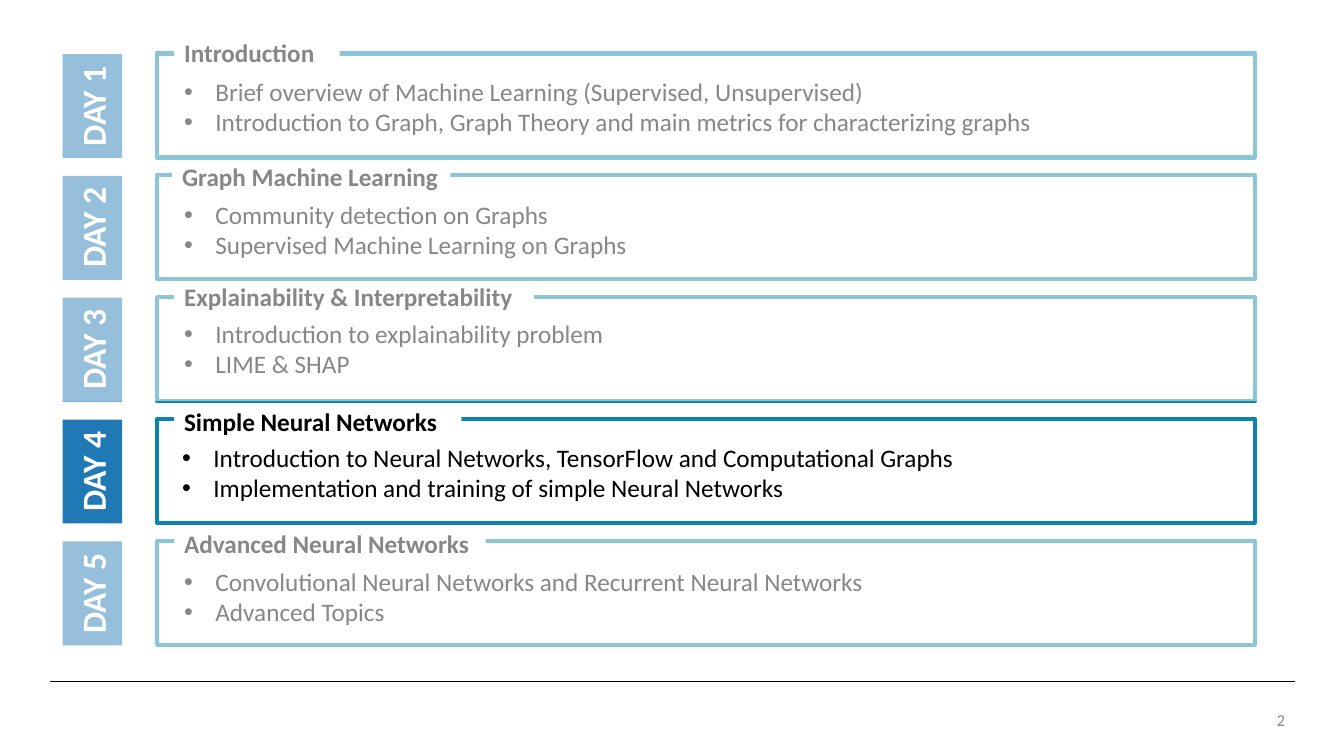
"""Build the five-day course agenda slide with day 4 highlighted."""
from lxml import etree
from pptx import Presentation
from pptx.dml.color import RGBColor
from pptx.enum.shapes import MSO_CONNECTOR, MSO_SHAPE
from pptx.enum.text import MSO_ANCHOR, MSO_AUTO_SIZE, PP_ALIGN
from pptx.oxml.ns import qn
from pptx.util import Cm, Pt

RECT = MSO_SHAPE.RECTANGLE
LEFT, MID, RIGHT = PP_ALIGN.LEFT, PP_ALIGN.CENTER, PP_ALIGN.RIGHT
TOP, CENTER = MSO_ANCHOR.TOP, MSO_ANCHOR.MIDDLE
GROW, FIXED = MSO_AUTO_SIZE.SHAPE_TO_FIT_TEXT, MSO_AUTO_SIZE.NONE
STEP = 3.07
DAYS = [
    ("Introduction", 4.39, 0.81, 4.17, 4.39, 1.8,
     ["Brief overview of Machine Learning (Supervised, Unsupervised)",
      "Introduction to Graph, Graph Theory and main metrics for characterizing graphs"]),
    ("Graph Machine Learning", 4.34, 3.94, 7.01, 4.39, 4.9,
     ["Community detection on Graphs",
      "Supervised Machine Learning on Graphs"]),
    ("Explainability & Interpretability", 4.39, 6.96, 9.07, 4.39, 7.9,
     ["Introduction to explainability problem",
      "LIME & SHAP"]),
    ("Simple Neural Networks", 4.39, 10.11, 7.24, 4.34, 11.02,
     ["Introduction to Neural Networks, TensorFlow and Computational Graphs",
      "Implementation and training of simple Neural Networks"]),
    ("Advanced Neural Networks", 4.39, 13.18, 7.85, 4.39, 14.15,
     ["Convolutional Neural Networks and Recurrent Neural Networks",
      "Advanced Topics"]),
]


def rgb(code):
    return RGBColor.from_string(code)


def put(text, x, y, w, h, fill=None, line=None, color="000000", size=18,
        bold=False, align=LEFT, anchor=TOP, fit=FIXED, bullet=False):
    box = slide.shapes.add_shape(RECT, Cm(x), Cm(y), Cm(w), Cm(h))
    box.shadow.inherit = False
    if fill:
        box.fill.solid()
        box.fill.fore_color.rgb = rgb(fill)
    else:
        box.fill.background()
    if line:
        box.line.color.rgb = rgb(line)
        box.line.width = Pt(3)
    else:
        box.line.fill.background()
    frame = box.text_frame
    frame.word_wrap = True
    frame.vertical_anchor = anchor
    frame.auto_size = fit
    frame.text = text
    for para in frame.paragraphs:
        para.alignment = align
        font = para.font
        for run in para.runs:
            font = run.font
            font.name, font.size, font.bold = "Calibri", Pt(size), bold
            font.color.rgb = rgb(color)
        if bullet:
            props = para._p.get_or_add_pPr()
            props.set("marL", str(Cm(0.79)))
            props.set("indent", str(-Cm(0.79)))
            etree.SubElement(props, qn("a:buFont")).set("typeface", "Arial")
            etree.SubElement(props, qn("a:buChar")).set("char", "•")
    return box


deck = Presentation()
deck.slide_width, deck.slide_height = Cm(33.87), Cm(19.05)
slide = deck.slides.add_slide(deck.slide_layouts[6])

rule = slide.shapes.add_connector(
    MSO_CONNECTOR.STRAIGHT, Cm(1.27), Cm(17.17), Cm(32.64), Cm(17.17))
rule.line.color.rgb = rgb("000000")
rule.line.width = Pt(0.5)
etree.SubElement(rule._element.spPr, qn("a:effectLst"))
put("2", 25.02, 17.63, 7.62, 1.02, color="8C8C8C", size=12, align=RIGHT, anchor=CENTER)

for i, (title, tx, ty, tw, lx, ly, items) in reversed(list(enumerate(DAYS))):
    put("", 3.96, 1.35 + i * STEP, 27.66, 2.62, line="0C82AE")
    tag = put(f"DAY {i + 1}", 1.02, 1.92 + i * STEP, 2.62, 1.5, fill="2078B4",
              color="FFFFFF", size=24, bold=True, align=MID, anchor=CENTER)
    tag.rotation = 270
    put(title, tx, ty, tw, 1.02, fill="FFFFFF", bold=True, fit=GROW)
    put("\n".join(items), lx, ly, 26.75, 1.8, fit=GROW, bullet=True)

for y, h in [(0.53, 9.58), (13.41, 3.2)]:
    veil = put("", 1.12, y, 31.6, h, fill="FFFFFF")
    tint = veil._element.spPr.find(".//" + qn("a:srgbClr"))
    etree.SubElement(tint, qn("a:alpha")).set("val", "53000")

deck.save("out.pptx")
